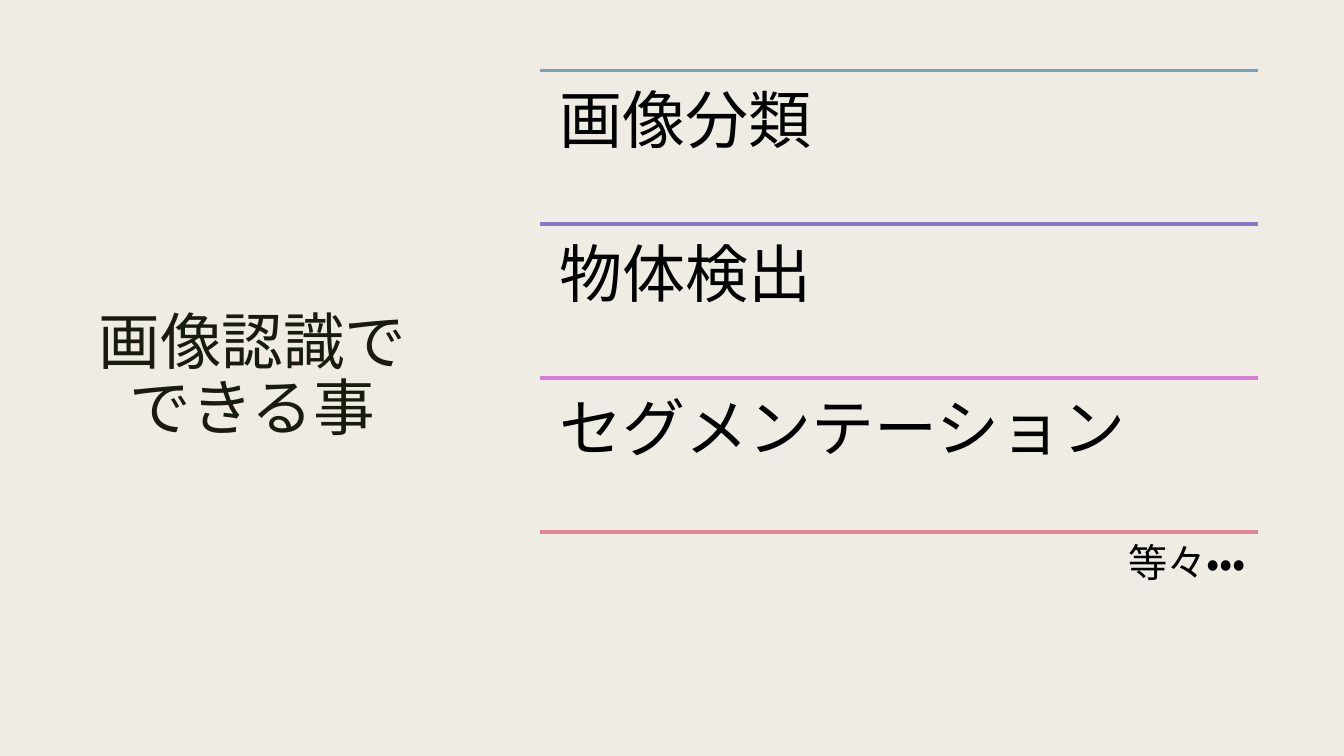
from pptx import Presentation
from pptx.dml.color import RGBColor
from pptx.enum.lang import MSO_LANGUAGE_ID
from pptx.enum.text import MSO_ANCHOR, MSO_AUTO_SIZE, PP_ALIGN
from pptx.oxml.ns import qn
from pptx.util import Pt
from lxml import etree

LEFT, CENTER, RIGHT = PP_ALIGN.LEFT, PP_ALIGN.CENTER, PP_ALIGN.RIGHT
TOP, MIDDLE = MSO_ANCHOR.TOP, MSO_ANCHOR.MIDDLE
NO_FIT = MSO_AUTO_SIZE.NONE
JAPANESE = MSO_LANGUAGE_ID.JAPANESE

FONT = "Karla"
PAPER, INK, BLACK = "EFEDE3", "191B0E", "000000"

# Rule colour, wording, text size, inset, alignment
TASKS = [
    ("77A2BB", "画像分類", 45, 13.5, LEFT),
    ("8879CA", "物体検出", 45, 13.5, LEFT),
    ("D77DD6", "セグメンテーション", 45, 13.5, LEFT),
    ("E28394", "等々・・・", 28, 8.4, RIGHT),
]


def color(code):
    return RGBColor.from_string(code)


def write(frame, text, size, ink, align, anchor, inset, gap):
    frame.word_wrap = True
    frame.auto_size = NO_FIT
    frame.vertical_anchor = anchor
    frame.margin_left = frame.margin_right = Pt(inset[0])
    frame.margin_top = frame.margin_bottom = Pt(inset[1])
    para = frame.paragraphs[0]
    para.alignment = align
    para.line_spacing = gap
    para.space_before = Pt(0)
    run = para.add_run()
    run.text = text
    font = run.font
    font.name, font.size = FONT, Pt(size)
    font.color.rgb = color(ink)
    font.language_id = JAPANESE


def add_title(slide, left, top, width, height):
    title = slide.shapes.title
    title.left, title.top = Pt(left), Pt(top)
    title.width, title.height = Pt(width), Pt(height)
    write(title.text_frame, "画像認識でできる事", 44, INK, CENTER, MIDDLE,
          (7.2, 3.6), 0.89)


def add_rule(slide, left, top, width, code):
    rule = slide.shapes.add_connector(
        1, Pt(left), Pt(top), Pt(left + width), Pt(top))
    rule.line.color.rgb = color(code)
    rule.line.width = Pt(2.75)
    etree.SubElement(rule._element.spPr, qn("a:effectLst"))


def add_tasks(slide, left, top, width, height):
    step = height / len(TASKS)
    for i, (code, text, size, inset, align) in enumerate(TASKS):
        y = top + i * step
        add_rule(slide, left, y, width, code)
        box = slide.shapes.add_textbox(Pt(left), Pt(y), Pt(width), Pt(step))
        write(box.text_frame, text, size, BLACK, align, TOP,
              (inset, inset), 0.9)


def main():
    deck = Presentation()
    deck.slide_width, deck.slide_height = Pt(960), Pt(540)
    slide = deck.slides.add_slide(deck.slide_layouts[5])

    # Background
    fill = slide.background.fill
    fill.solid()
    fill.fore_color.rgb = color(PAPER)

    # Title on the left, ruled list on the right
    add_title(slide, 50.4, 50.4, 260, 439.2)
    add_tasks(slide, 386, 50.4, 512.6, 439.2)
    deck.save("out.pptx")


if __name__ == "__main__":
    main()
